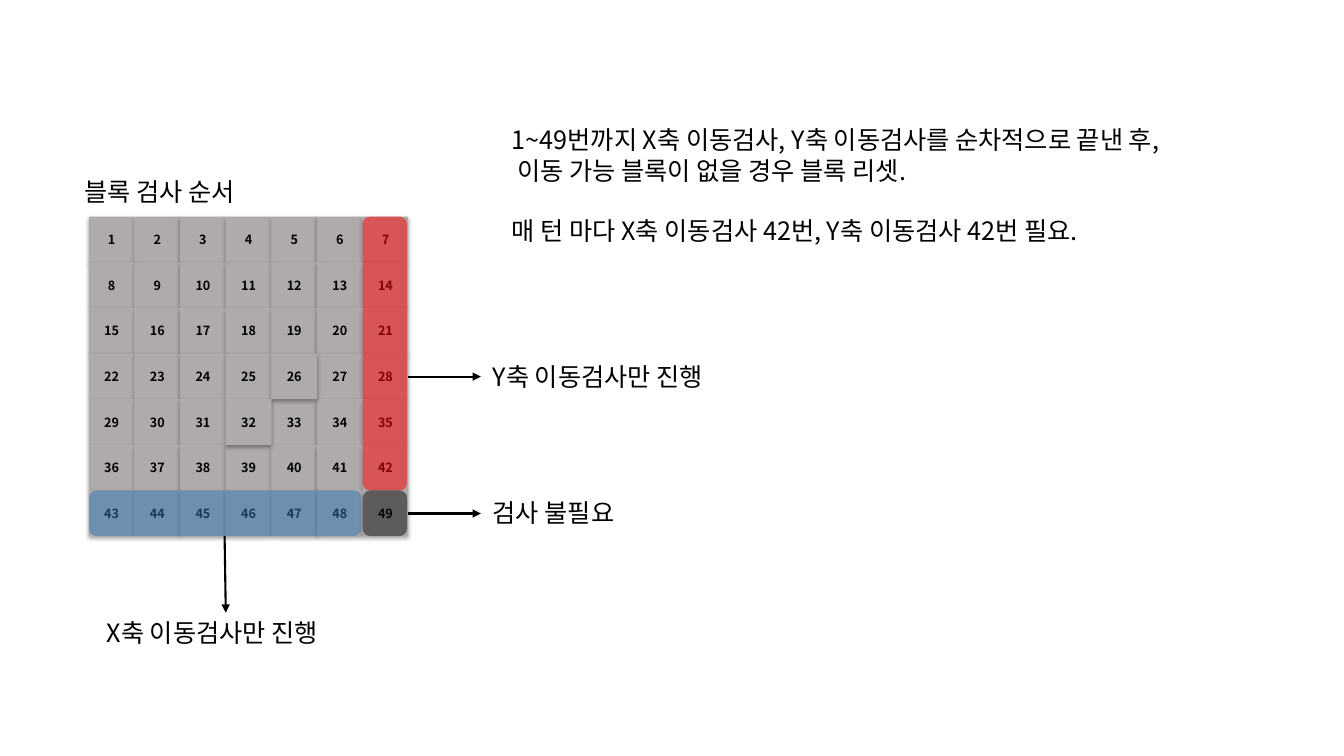
from lxml import etree
from pptx import Presentation, util as u
from pptx.dml.color import RGBColor
from pptx.enum import shapes, text
from pptx.oxml.ns import qn

Cm, Pt = u.Cm, u.Pt
FONT = "Noto Sans CJK KR"
BLACK = RGBColor(0, 0, 0)
GRAY = RGBColor(0xAF, 0xAB, 0xAB)
RED = RGBColor(0xFF, 0, 0)
BLUE = RGBColor(0x2E, 0x75, 0xB6)
DARK = RGBColor(0x0D, 0x0D, 0x0D)

# Content: grid, raised blocks, zones and labels, lengths in cm
SIDE = 7
STEP, LEFT, TOP = 1.15, 2.24, 5.46
RAISED = [25, 26, 32]
LINE = Pt(21.6)

# column, row, columns, rows, colour
ZONES = [(6, 0, 1, 6, RED), (0, 6, 6, 1, BLUE), (6, 6, 1, 1, DARK)]

# x1, y1, x2, y2
ARROWS = [
    (10.29, 9.49, 12.12, 9.49),
    (5.66, 13.51, 5.69, 15.44),
    (10.29, 12.94, 12.12, 12.94),
]

# left, top, width, height, lines as (wording, space before)
LABELS = [
    (1.88, 4.31, 5.56, 1.02, [("블록 검사 순서", 0)]),
    (12.65, 3.02, 20.27, 3.33, [
        ("1~49번까지 X축 이동검사, Y축 이동검사를 순차적으로 끝낸 후,", 0),
        (" 이동 가능 블록이 없을 경우 블록 리셋.", 0),
        ("매 턴 마다 X축 이동검사 42번, Y축 이동검사 42번 필요.", LINE),
    ]),
    (12.17, 8.97, 6.5, 1.02, [("Y축 이동검사만 진행", 0)]),
    (2.44, 15.44, 6.5, 1.02, [("X축 이동검사만 진행", 0)]),
    (12.17, 12.4, 6.5, 1.02, [("검사 불필요", 0)]),
]

deck = Presentation()
deck.slide_width, deck.slide_height = Cm(33.87), Cm(19.05)
page = deck.slides.add_slide(deck.slide_layouts[6])


def add_node(parent, tag, **attrs):
    return etree.SubElement(parent, qn(tag), attrs)


def add_run(par, words, size, bold=False):
    run = par.add_run()
    run.text = words
    font = run.font
    font.name, font.size, font.bold = FONT, Pt(size), bold
    font.color.rgb = BLACK
    add_node(run._r.get_or_add_rPr(), "a:ea", typeface=FONT)


def add_box(kind, x, y, wide, high, color):
    box = page.shapes.add_shape(kind, Cm(x), Cm(y), Cm(wide), Cm(high))
    box.shadow.inherit = False
    box.fill.solid()
    box.fill.fore_color.rgb = color
    box.line.fill.background()
    return box


def add_block(num):
    row, col = divmod(num - 1, SIDE)
    box = add_box(shapes.MSO_SHAPE.RECTANGLE, LEFT + col * STEP,
                  TOP + row * STEP, STEP, STEP, GRAY)
    glow = add_node(box._element.spPr.find(qn("a:effectLst")), "a:outerShdw",
                    blurRad=str(Pt(3.1)), dist=str(Pt(1.8)), dir="5400000",
                    algn="ctr", rotWithShape="0")
    tint = add_node(glow, "a:srgbClr", val=str(BLACK))
    add_node(tint, "a:alpha", val="35000")
    frame = box.text_frame
    frame.vertical_anchor = text.MSO_ANCHOR.MIDDLE
    par = frame.paragraphs[0]
    par.alignment = text.PP_ALIGN.CENTER
    add_run(par, str(num), 9, True)


# Numbered blocks, the raised ones on top
for num in range(1, SIDE * SIDE + 1):
    if num not in RAISED:
        add_block(num)
for num in RAISED:
    add_block(num)

# Translucent zones
for col, row, cols, rows, color in ZONES:
    zone = add_box(shapes.MSO_SHAPE.ROUNDED_RECTANGLE, LEFT + col * STEP,
                   TOP + row * STEP, cols * STEP - 0.03, rows * STEP, color)
    tint = zone._element.spPr.find(qn("a:solidFill"))[0]
    add_node(tint, "a:alpha", val="50000")

# Arrows
for ends in ARROWS:
    arrow = page.shapes.add_connector(shapes.MSO_CONNECTOR.STRAIGHT,
                                      *[Cm(end) for end in ends])
    arrow.line.color.rgb = BLACK
    arrow.line.width = Pt(1.5)
    add_node(arrow.line._get_or_add_ln(), "a:tailEnd", type="triangle")
    add_node(arrow._element.spPr, "a:effectLst")

# Labels
for x, y, wide, high, lines in LABELS:
    label = page.shapes.add_textbox(Cm(x), Cm(y), Cm(wide), Cm(high))
    frame = label.text_frame
    frame.word_wrap = True
    for at, (words, gap) in enumerate(lines):
        par = frame.add_paragraph() if at else frame.paragraphs[0]
        par.line_spacing = LINE
        par.space_before = gap
        add_run(par, words, 18)

deck.save("out.pptx")
